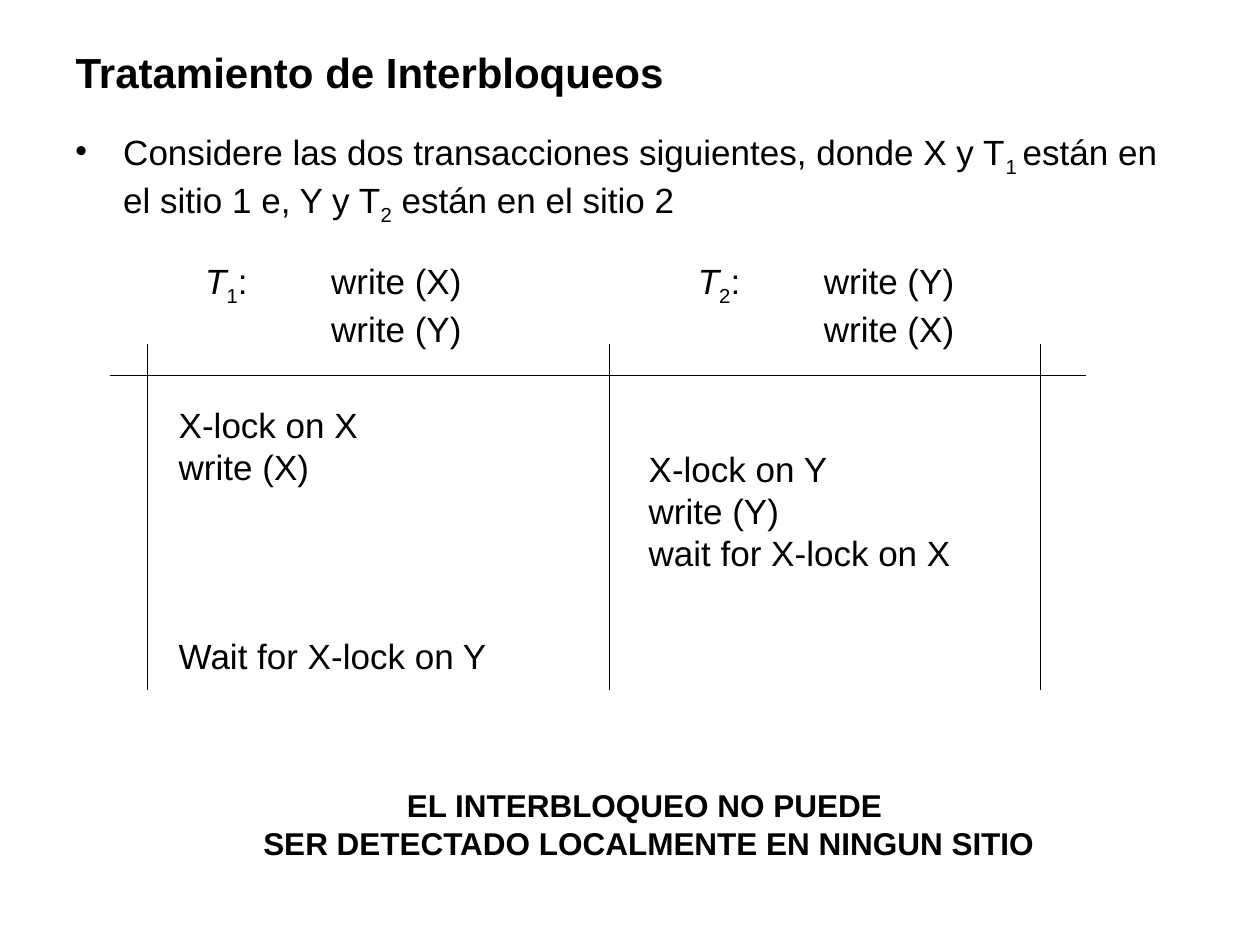
"""Build the slide on distributed deadlock handling."""
from lxml import etree
from pptx import Presentation
from pptx.dml.color import RGBColor
from pptx.enum.shapes import MSO_CONNECTOR
from pptx.enum.text import MSO_ANCHOR, PP_ALIGN
from pptx.oxml.ns import qn
from pptx.util import Inches, Pt

BLACK = RGBColor(0, 0, 0)
WHITE = RGBColor(255, 255, 255)
FONT = "Arial"
LEFT, CENTER = PP_ALIGN.LEFT, PP_ALIGN.CENTER
MIDDLE = MSO_ANCHOR.MIDDLE
STRAIGHT = MSO_CONNECTOR.STRAIGHT
TAB = 1
COLUMN_LINES = (1.17, 4.84, 8.26)


def add_run(paragraph, text, size=20, bold=False, italic=False, subscript=False):
    """Append one formatted run to the paragraph."""
    run = paragraph.add_run()
    run.text = text
    font = run.font
    font.name, font.size, font.bold, font.italic = FONT, Pt(size), bold, italic
    font.color.rgb = BLACK
    if subscript:
        font._element.set("baseline", "-25000")


def add_title(slide, text):
    """Place and fill the title placeholder."""
    title = slide.shapes.title
    title.left, title.top = Inches(0.5), Inches(0.3)
    title.width, title.height = Inches(9), Inches(0.54)
    title.text_frame.vertical_anchor = MIDDLE
    paragraph = title.text_frame.paragraphs[0]
    paragraph.alignment = LEFT
    add_run(paragraph, text, size=24, bold=True)


def add_text(slide, left, top, width, height, lines, alignment=LEFT, **style):
    """Add a text box whose lines are lists of (text, extra style) runs."""
    box = slide.shapes.add_textbox(
        Inches(left), Inches(top), Inches(width), Inches(height))
    frame = box.text_frame
    frame.word_wrap = True
    for index, runs in enumerate(lines):
        paragraph = frame.add_paragraph() if index else frame.paragraphs[0]
        paragraph.alignment = alignment
        for text, extra in runs:
            add_run(paragraph, text, **style, **extra)
    return frame.paragraphs


def plain(*texts):
    """Turn texts into lines of one unstyled run each."""
    return [[(text, {})] for text in texts]


def set_bullet(paragraph):
    """Give the paragraph a bullet with a hanging indent."""
    paragraph.space_before = Pt(5)
    properties = paragraph._p.get_or_add_pPr()
    properties.set("marL", str(Inches(0.38)))
    properties.set("indent", str(-Inches(0.38)))
    etree.SubElement(properties, qn("a:buChar")).set("char", "•")


def set_tab(paragraph):
    """Set the left tab stop that aligns the operations."""
    tabs = etree.SubElement(paragraph._p.get_or_add_pPr(), qn("a:tabLst"))
    tab = etree.SubElement(tabs, qn("a:tab"))
    tab.set("pos", str(Inches(TAB)))
    tab.set("algn", "l")


def add_transaction(slide, left, number, first, second):
    """Add a transaction name with its two operations."""
    lines = [
        [("T", {"italic": True}), (number, {"subscript": True}), (f":\t{first}", {})],
        [(f"\t{second}", {})],
    ]
    for paragraph in add_text(slide, left, 2.01, 2.4, 0.82, lines):
        set_tab(paragraph)


def add_line(slide, x1, y1, x2, y2):
    """Add a thin black line without shadow."""
    line = slide.shapes.add_connector(
        STRAIGHT, Inches(x1), Inches(y1), Inches(x2), Inches(y2))
    line.line.color.rgb = BLACK
    line.line.width = Pt(0.75)
    etree.SubElement(line._element.spPr, qn("a:effectLst"))


def main():
    """Create and save the presentation."""
    presentation = Presentation()
    presentation.slide_width, presentation.slide_height = Inches(10), Inches(7.5)
    slide = presentation.slides.add_slide(presentation.slide_layouts[5])
    slide.background.fill.solid()
    slide.background.fill.fore_color.rgb = WHITE

    add_title(slide, "Tratamiento de Interbloqueos")
    statement = [
        ("Considere las dos transacciones siguientes, donde X y T", {}),
        ("1 ", {"subscript": True}),
        ("están en el sitio 1 e, Y y T", {}),
        ("2", {"subscript": True}),
        (" están en el sitio 2", {}),
    ]
    set_bullet(add_text(slide, 0.5, 0.99, 9, 0.87, [statement])[0])

    add_transaction(slide, 1.53, "1", "write (X)", "write (Y)")
    add_transaction(slide, 5.44, "2", "write (Y)", "write (X)")

    add_line(slide, 0.87, 2.98, 8.62, 2.98)
    for x in COLUMN_LINES:
        add_line(slide, x, 2.73, x, 5.48)

    add_text(slide, 1.32, 3.15, 1.8, 0.77, plain("X-lock on X", "write (X)"))
    add_text(slide, 5.05, 3.5, 2.8, 1.1,
             plain("X-lock on Y", "write (Y)", "wait for X-lock on X"))
    add_text(slide, 1.32, 4.99, 2.8, 0.44, plain("Wait for X-lock on Y"))
    add_text(slide, 1.9, 6.19, 6.5, 0.7,
             plain("EL INTERBLOQUEO NO PUEDE ",
                   "SER DETECTADO LOCALMENTE EN NINGUN SITIO"),
             CENTER, size=18, bold=True)

    presentation.save("out.pptx")


if __name__ == "__main__":
    main()
